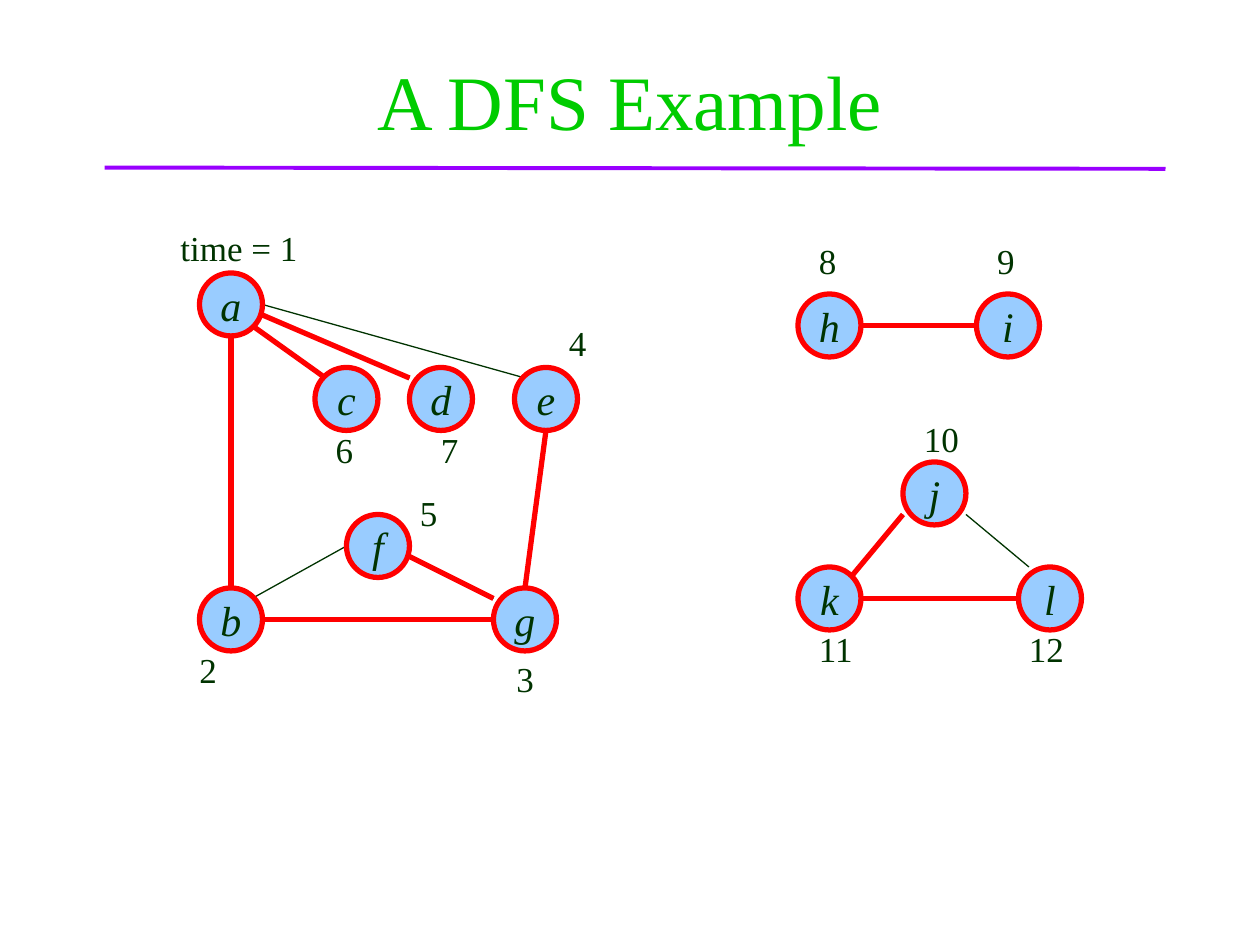
from lxml.etree import SubElement
from pptx import Presentation
from pptx.dml.color import RGBColor
from pptx.enum.shapes import MSO_CONNECTOR, MSO_SHAPE
from pptx.enum.text import MSO_ANCHOR, MSO_AUTO_SIZE, PP_ALIGN
from pptx.oxml.ns import qn
from pptx.util import Inches, Pt

FONT = "Times New Roman"
GREEN = RGBColor(0x00, 0xCC, 0x00)
PURPLE = RGBColor(0x99, 0x00, 0xFF)
DARK = RGBColor(0x00, 0x33, 0x00)
BLUE = RGBColor(0x99, 0xCC, 0xFF)
RED = RGBColor(0xFF, 0x00, 0x00)

# Everything in the graphs sits on a grid of twelfths of an inch
CELL = Inches(1 / 12)
NODE = 6 * CELL

# Corner of the graph's box on the grid; nodes, edges and labels relative to it.
# The last value of an edge tells whether it belongs to the DFS tree.
LEFT_GRAPH = {
    "origin": (19, 26),
    "nodes": {"a": (0, 0), "b": (0, 30), "c": (11, 9), "d": (20, 9),
              "e": (30, 9), "f": (14, 23), "g": (28, 30)},
    "edges": [
        (5, 5, 12, 10, True), (6, 4, 20, 10, True), (6, 3, 31, 10, False),
        (3, 6, 3, 30, True), (5, 31, 14, 26, False), (6, 33, 28, 33, True),
        (20, 27, 28, 31, True), (31, 30, 33, 15, True),
    ],
    "labels": [
        ("time = 1", -3, -5), ("2", -1.2, 35.2), ("3", 29, 36), ("4", 34, 4),
        ("5", 19.8, 20.2), ("6", 11.8, 14.2), ("7", 21.8, 14.2),
    ],
}
RIGHT_GRAPH = {
    "origin": (76, 28),
    "nodes": {"h": (0, 0), "i": (17, 0), "j": (10, 16), "k": (0, 26),
              "l": (21, 26)},
    "edges": [
        (6, 3, 17, 3, True), (10, 21, 5, 27, True), (16, 21, 22, 26, False),
        (6, 29, 21, 29, True),
    ],
    "labels": [
        ("8", 0.8, -5.8), ("9", 17.8, -5.8), ("10", 10.8, 11.2),
        ("11", 0.8, 31.2), ("12", 20.8, 31.2),
    ],
}


def add_run(p, text, size, color, italic=None):
    r = p.add_run()
    r.text = text
    r.font.name, r.font.size, r.font.italic = FONT, Pt(size), italic
    r.font.color.rgb = color


def add_line(s, x1, y1, x2, y2, color, width):
    line = s.shapes.add_connector(MSO_CONNECTOR.STRAIGHT,
                                  int(x1), int(y1), int(x2), int(y2))
    line.line.color.rgb, line.line.width = color, Pt(width)
    SubElement(line._element.spPr, qn("a:effectLst"))


def add_circle(s, x, y, color, width):
    sp = s.shapes.add_shape(MSO_SHAPE.OVAL, x, y, NODE, NODE)
    sp.shadow.inherit = False
    sp.fill.background()
    sp.line.color.rgb, sp.line.width = color, Pt(width)
    return sp


def add_node(s, name, x, y):
    sp = add_circle(s, x, y, DARK, 0.75)
    sp.fill.solid()
    sp.fill.fore_color.rgb = BLUE
    tf = sp.text_frame
    tf.word_wrap = False
    tf.vertical_anchor = MSO_ANCHOR.MIDDLE
    p = tf.paragraphs[0]
    p.alignment = PP_ALIGN.CENTER
    add_run(p, name, 24, DARK, italic=True)


def add_label(s, text, x, y):
    # Box width follows the text: a digit at 20 pt is 0.14 inch wide
    width = 1.13 if len(text) > 2 else 0.2 + 0.14 * len(text)
    tb = s.shapes.add_textbox(int(x), int(y), Inches(width), Inches(0.44))
    tf = tb.text_frame
    tf.word_wrap = False
    tf.auto_size = MSO_AUTO_SIZE.SHAPE_TO_FIT_TEXT
    add_run(tf.paragraphs[0], text, 20, DARK)


def add_header(s, x, y, w, h):
    title = s.shapes.title
    title.left, title.top, title.width, title.height = x, y, w, h
    tf = title.text_frame
    tf.word_wrap = True
    tf.vertical_anchor = MSO_ANCHOR.MIDDLE
    p = tf.paragraphs[0]
    p.alignment = PP_ALIGN.CENTER
    add_run(p, "A DFS Example", 44, GREEN)
    rule_y = y + h - Inches(0.09)
    add_line(s, x + Inches(0.08), rule_y, x + w, rule_y + Inches(0.01),
             PURPLE, 2.25)


def add_graph(s, origin, nodes, edges, labels):
    left, top = origin[0] * CELL, origin[1] * CELL

    def at(col, row):
        return left + col * CELL, top + row * CELL

    # Plain graph
    for name, cell in nodes.items():
        add_node(s, name, *at(*cell))
    for c1, r1, c2, r2, _ in edges:
        add_line(s, *at(c1, r1), *at(c2, r2), DARK, 0.75)

    # Visited nodes and tree edges
    for cell in nodes.values():
        add_circle(s, *at(*cell), RED, 3)
    for c1, r1, c2, r2, in_tree in edges:
        if in_tree:
            add_line(s, *at(c1, r1), *at(c2, r2), RED, 3)

    # Discovery times
    for text, col, row in labels:
        add_label(s, text, *at(col, row))


def main():
    prs = Presentation()
    prs.slide_width, prs.slide_height = Inches(10), Inches(7.5)
    s = prs.slides.add_slide(prs.slide_layouts[5])
    add_header(s, Inches(0.75), Inches(0.17), Inches(8.5), Inches(1.25))
    add_graph(s, **LEFT_GRAPH)
    add_graph(s, **RIGHT_GRAPH)
    prs.save("out.pptx")


if __name__ == "__main__":
    main()
